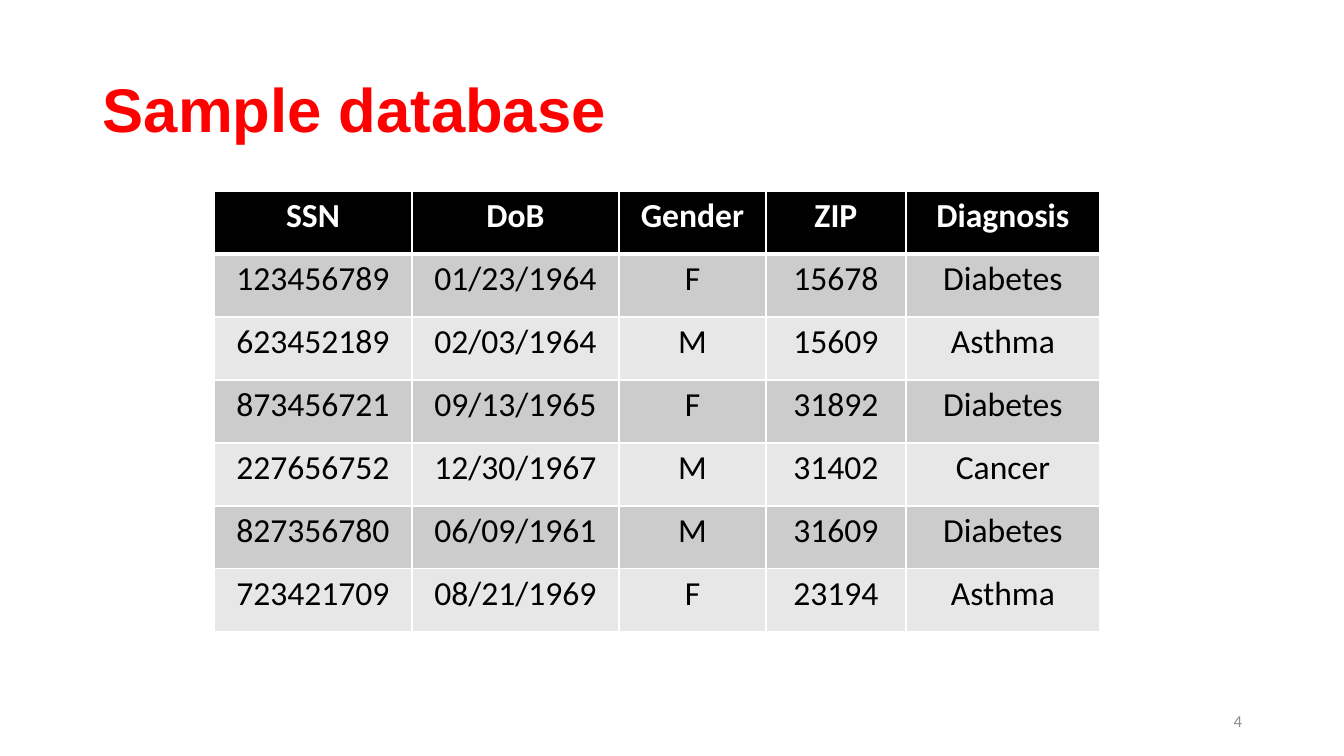
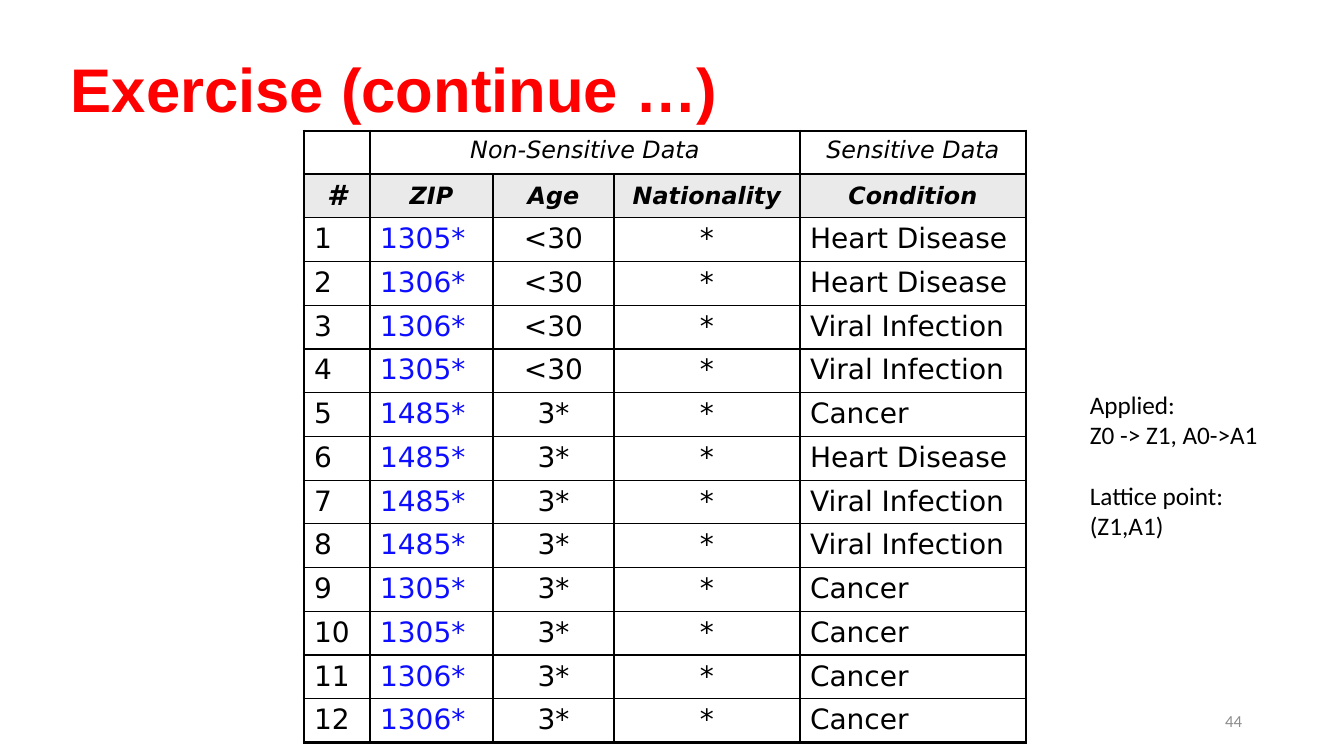
from lxml import etree
from pptx import Presentation
from pptx import util as u
from pptx.dml.color import RGBColor
from pptx.enum import text
from pptx.oxml.ns import qn

PX = u.Inches(1) / 100.8
SLIDE_SIZE = (1344, 756)
COLORS = {
    "title": "FF0000", "black": "000000", "white": "FFFFFF", "number": "8C8C8C",
    "band_dark": "CCCCCC", "band_light": "E7E7E7", "heading": "EAEAEA", "zip": "0D0EFF",
}
LEFT, CENTER, RIGHT = text.PP_ALIGN.LEFT, text.PP_ALIGN.CENTER, text.PP_ALIGN.RIGHT
TOP, MIDDLE = text.MSO_ANCHOR.TOP, text.MSO_ANCHOR.MIDDLE

# Text styles
TITLE = {"name": "Arial", "size": 44, "bold": True, "color": "title"}
NUMBER = {"name": "Calibri", "size": 12, "color": "number"}
NOTE = {"name": "Calibri", "size": 18, "color": "black"}
SAMPLE_BODY = {"name": "Calibri", "size": 24, "color": "black"}
SAMPLE_HEAD = {**SAMPLE_BODY, "bold": True, "color": "white"}
EXERCISE_BODY = {"name": "DejaVu Sans", "size": 20, "color": "black"}
EXERCISE_ZIP = {**EXERCISE_BODY, "color": "zip"}
EXERCISE_GROUP = {**EXERCISE_BODY, "size": 17, "italic": True}
EXERCISE_HEAD = {**EXERCISE_GROUP, "bold": True}

# Content
SAMPLE_ROWS = [
    ("SSN", "DoB", "Gender", "ZIP", "Diagnosis"),
    ("123456789", "01/23/1964", "F", "15678", "Diabetes"),
    ("623452189", "02/03/1964", "M", "15609", "Asthma"),
    ("873456721", "09/13/1965", "F", "31892", "Diabetes"),
    ("227656752", "12/30/1967", "M", "31402", "Cancer"),
    ("827356780", "06/09/1961", "M", "31609", "Diabetes"),
    ("723421709", "08/21/1969", "F", "23194", "Asthma"),
]
EXERCISE_HEADINGS = [
    ("", "Non-Sensitive Data", "", "", "Sensitive Data"),
    ("#", "ZIP", "Age", "Nationality", "Condition"),
]
PATIENTS = [
    ("1305*", "<30", "Heart Disease"),
    ("1306*", "<30", "Heart Disease"),
    ("1306*", "<30", "Viral Infection"),
    ("1305*", "<30", "Viral Infection"),
    ("1485*", "3*", "Cancer"),
    ("1485*", "3*", "Heart Disease"),
    ("1485*", "3*", "Viral Infection"),
    ("1485*", "3*", "Viral Infection"),
    ("1305*", "3*", "Cancer"),
    ("1305*", "3*", "Cancer"),
    ("1306*", "3*", "Cancer"),
    ("1306*", "3*", "Cancer"),
]
EXERCISE_ROWS = EXERCISE_HEADINGS + [
    (str(number), zip_code, age, "*", condition)
    for number, (zip_code, age, condition) in enumerate(PATIENTS, 1)
]
NOTE_GROUPS = [("Applied:", "Z0 -> Z1, A0->A1"), ("Lattice point:", "(Z1,A1)")]


def px(*lengths):
    return [u.Emu(round(length * PX)) for length in lengths]


def write(paragraph, words, style, **layout):
    for name, value in layout.items():
        setattr(paragraph, name, value)
    run = paragraph.add_run()
    run.text = words
    for name, value in style.items():
        if name == "color":
            run.font.color.rgb = RGBColor.from_string(COLORS[value])
        else:
            setattr(run.font, name, u.Pt(value) if name == "size" else value)


def add_text_frame(slide, box, anchor=TOP):
    frame = slide.shapes.add_textbox(*px(*box)).text_frame
    frame.word_wrap = True
    frame.vertical_anchor = anchor
    return frame


def add_slide(presentation, title, title_left, title_top, number):
    slide = presentation.slides.add_slide(presentation.slide_layouts[6])
    frame = add_text_frame(slide, (title_left, title_top, 1159, 146), MIDDLE)
    write(frame.paragraphs[0], title, TITLE, line_spacing=0.9)
    frame = add_text_frame(slide, (950, 701, 302, 40), MIDDLE)
    write(frame.paragraphs[0], number, NUMBER, alignment=RIGHT)
    return slide


def set_borders(cell, color, widths):
    properties = cell._tc.get_or_add_tcPr()
    for side, width in zip("LRTB", widths):
        line = etree.SubElement(properties, qn(f"a:ln{side}"), w=str(u.Pt(width)))
        fill = etree.SubElement(line, qn("a:solidFill"))
        etree.SubElement(fill, qn("a:srgbClr"), val=COLORS[color])


def add_grid(slide, origin, widths, heights, rows, look):
    """look(row, column) gives style, alignment, anchor, fill, border colour and widths."""
    size = (sum(widths), sum(heights))
    table = slide.shapes.add_table(len(rows), len(widths), *px(*origin, *size)).table
    table.first_row = table.horz_banding = False
    for column, width in zip(table.columns, px(*widths)):
        column.width = width
    for row, height in zip(table.rows, px(*heights)):
        row.height = height
    for r, words_in_row in enumerate(rows):
        for c, words in enumerate(words_in_row):
            cell = table.cell(r, c)
            style, alignment, anchor, fill, border, border_widths = look(r, c)
            set_borders(cell, border, border_widths)
            if fill:
                cell.fill.solid()
                cell.fill.fore_color.rgb = RGBColor.from_string(COLORS[fill])
            else:
                cell.fill.background()
            cell.vertical_anchor = anchor
            if words:
                write(cell.text_frame.paragraphs[0], words, style, alignment=alignment)
    return table


def sample_look(r, c):
    style = SAMPLE_BODY if r else SAMPLE_HEAD
    fill = ("band_dark" if r % 2 else "band_light") if r else "black"
    widths = (1, 1, 3 if r == 1 else 1, 1 if r else 3)
    return style, CENTER, TOP, fill, "white", widths


def exercise_look(r, c):
    last_row, last_column = len(EXERCISE_ROWS) - 1, len(EXERCISE_ROWS[0]) - 1
    on_edge = (c == 0, c == last_column, r == 0, r == last_row)
    widths = [2.25 if edge else 1 for edge in on_edge]
    if r == 0:
        return EXERCISE_GROUP, CENTER, TOP, None, "black", widths
    if r == 1:
        style = EXERCISE_HEAD if c else {**EXERCISE_HEAD, "size": 20}
        return style, CENTER, MIDDLE, "heading", "black", widths
    style = EXERCISE_ZIP if c == 1 else EXERCISE_BODY
    return style, CENTER if c in (2, 3) else LEFT, TOP, None, "black", widths


def main():
    presentation = Presentation()
    presentation.slide_width, presentation.slide_height = px(*SLIDE_SIZE)

    # Sample database
    slide = add_slide(presentation, "Sample database", 93, 40, "4")
    add_grid(slide, (214, 191), (198, 207, 147, 140, 194), [63] * len(SAMPLE_ROWS),
             SAMPLE_ROWS, sample_look)

    # Exercise table
    slide = add_slide(presentation, "Exercise (continue …)", 61, 20, "44")
    heights = [43] + [42] * (len(EXERCISE_ROWS) - 1)
    table = add_grid(slide, (304, 131), (66, 123, 121, 186, 226), heights,
                     EXERCISE_ROWS, exercise_look)
    table.cell(0, 1).merge(table.cell(0, 3))

    # Side note
    frame = add_text_frame(slide, (1080, 384, 199, 194))
    paragraph = frame.paragraphs[0]
    for g, group in enumerate(NOTE_GROUPS):
        for i, words in enumerate(group):
            if g or i:
                paragraph = frame.add_paragraph()
            write(paragraph, words, NOTE, space_before=u.Pt(22 if g and not i else 0))

    presentation.save("out.pptx")


if __name__ == "__main__":
    main()
